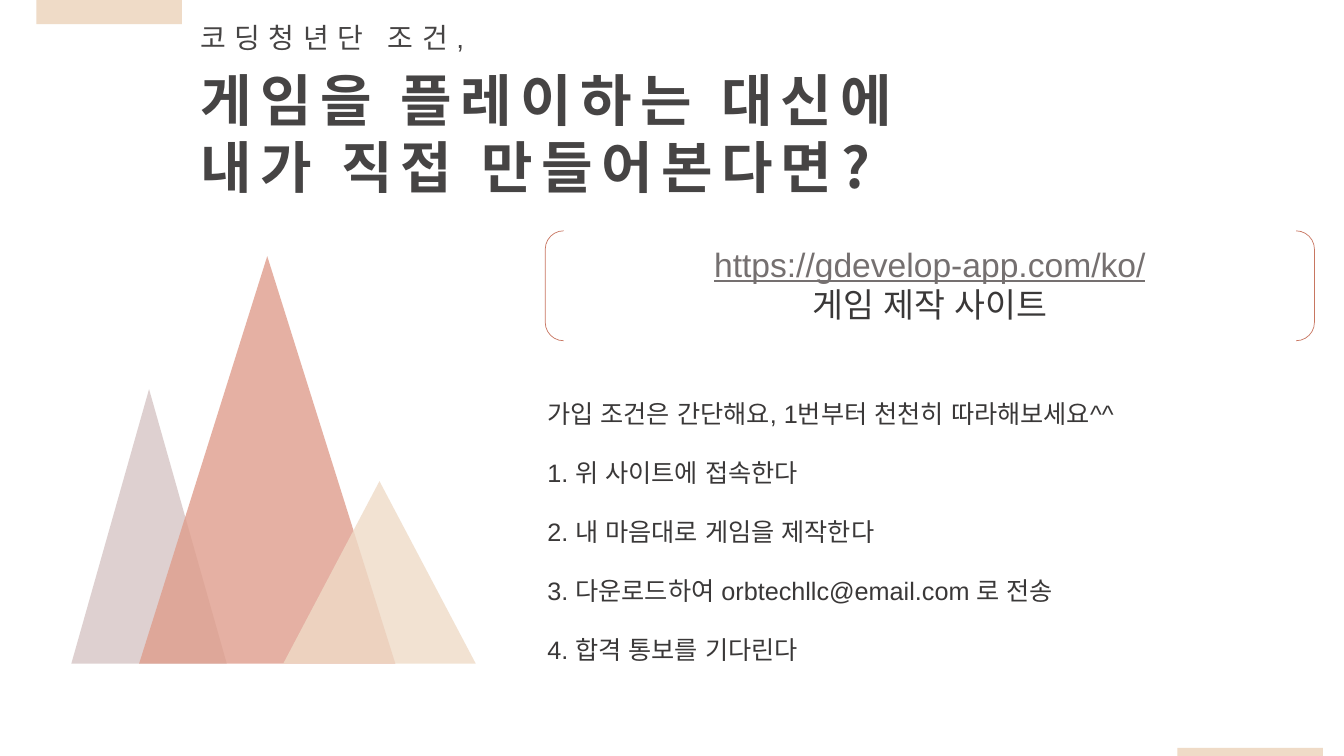
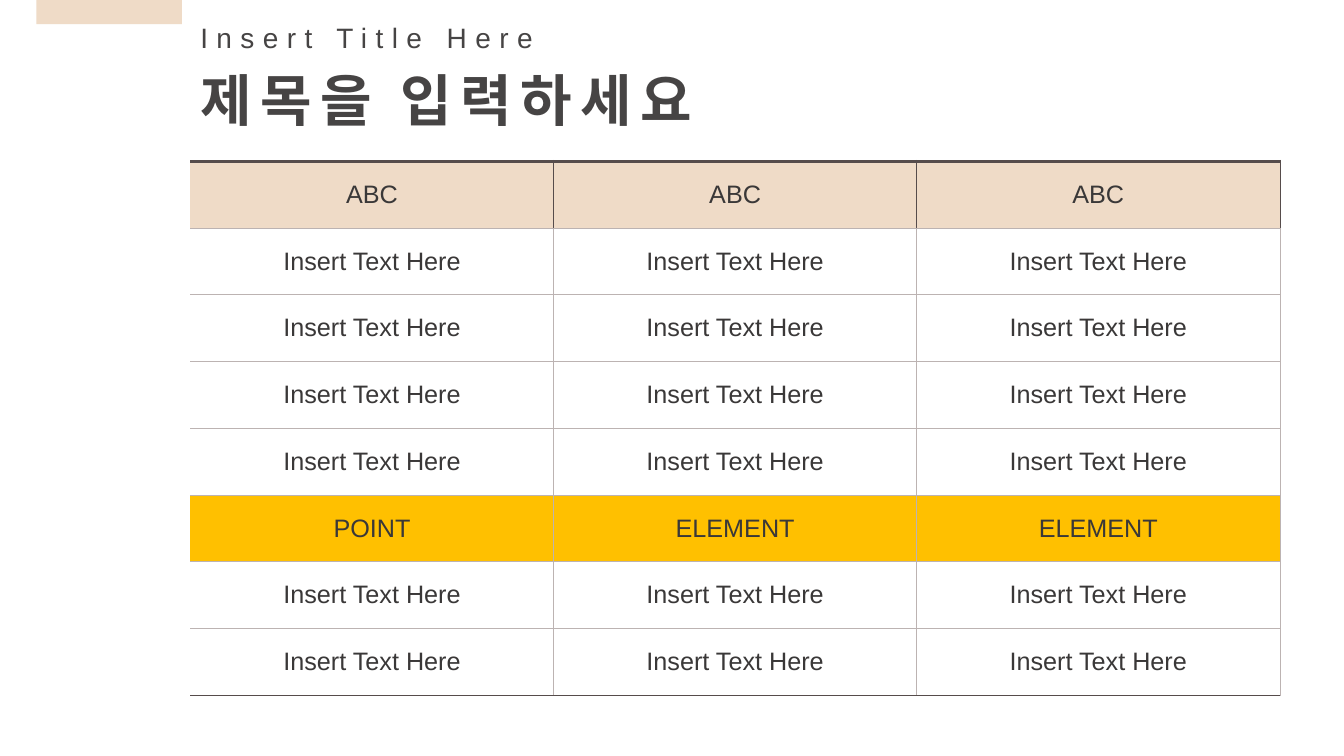
from pptx import Presentation
from pptx.dml.color import RGBColor
from pptx.enum.shapes import MSO_SHAPE
from pptx.enum.text import MSO_ANCHOR, PP_ALIGN
from pptx.oxml.ns import qn
from pptx.util import Pt
from lxml.etree import SubElement

COLORS = {
    "sand": "EFDBC7", "rose": "DF9D8C", "mauve": "D6C5C5", "bracket": "C87661",
    "title": "464444", "text": "3A3838", "link": "757070",
    "rule": "BCB3B2", "dark rule": "564C4B", "highlight": "FFC000", "white": "FFFFFF",
}
BODY_FONT = "Arial"
TITLE_FONT = "Noto Sans CJK KR"
TITLE_LEFT = 136
BAR_WIDTH = 104


def rgb(name):
    return RGBColor.from_string(COLORS[name])


class Designer:
    """Holds the deck, its style and the current page."""

    def __init__(self):
        self.deck = Presentation()
        self.deck.slide_width, self.deck.slide_height = Pt(960), Pt(540)
        self.page = None

    def new_page(self, kicker, title_lines):
        self.page = self.deck.slides.add_slide(self.deck.slide_layouts[5])
        self.bar(26, 0, 17.3)
        self.text(TITLE_LEFT, 10.8, 260, 31.7, [kicker], size=20, color="title",
                  spacing=6, wrap=False)
        title = self.page.shapes.title
        title.left, title.top = Pt(TITLE_LEFT), Pt(43.2)
        title.width, title.height = Pt(566), Pt(7.2 + 48.6 * len(title_lines))
        self.fill_text(title.text_frame, title_lines, size=40, color="title",
                       font=TITLE_FONT, bold=True, spacing=6, wrap=False)

    def style(self, para, size, color, font=BODY_FONT, bold=False, spacing=0,
              align=PP_ALIGN.LEFT):
        para.alignment = align
        para.font.size, para.font.bold, para.font.name = Pt(size), bold, font
        para.font.color.rgb = rgb(color)
        properties = para._p.get_or_add_pPr().get_or_add_defRPr()
        SubElement(properties, qn("a:ea")).set("typeface", font)
        if spacing:
            properties.set("spc", str(spacing * 100))

    def fill_text(self, frame, lines, wrap=True, gap=0, **style):
        frame.word_wrap = wrap
        frame.vertical_anchor = MSO_ANCHOR.TOP
        for index, line in enumerate(lines):
            para = frame.paragraphs[0] if index == 0 else frame.add_paragraph()
            para.text = line
            if index and gap:
                para.space_before = Pt(gap)
            self.style(para, **style)

    def text(self, left, top, width, height, lines, **options):
        box = self.page.shapes.add_textbox(Pt(left), Pt(top), Pt(width), Pt(height))
        self.fill_text(box.text_frame, lines, **options)
        return box

    def shape(self, kind, left, top, width, height, fill=None, line=None,
              opacity=None, parent=None):
        shapes = (parent or self.page).shapes
        shape = shapes.add_shape(kind, Pt(left), Pt(top), Pt(width), Pt(height))
        shape.shadow.inherit = False
        if fill:
            shape.fill.solid()
            shape.fill.fore_color.rgb = rgb(fill)
        else:
            shape.fill.background()
        if line:
            shape.line.color.rgb, shape.line.width = rgb(line), Pt(0.5)
        else:
            shape.line.fill.background()
        if opacity:
            color = shape._element.spPr.find(qn("a:solidFill"))[0]
            SubElement(color, qn("a:alpha")).set("val", str(opacity * 1000))

    def bar(self, left, top, height):
        self.shape(MSO_SHAPE.RECTANGLE, left, top, BAR_WIDTH, height, fill="sand")

    def mountains(self, base, peaks):
        group = self.page.shapes.add_group_shape()
        for left, width, height, color in peaks:
            self.shape(MSO_SHAPE.ISOSCELES_TRIANGLE, left, base - height, width, height,
                       fill=color, opacity=80, parent=group)

    def border(self, cell, side, color, width=0.5):
        line = SubElement(cell._tc.get_or_add_tcPr(), qn("a:ln" + side))
        line.set("w", str(Pt(width)))
        if color:
            fill = SubElement(line, qn("a:solidFill"))
            SubElement(fill, qn("a:srgbClr")).set("val", COLORS[color])
        else:
            SubElement(line, qn("a:noFill"))

    def table(self, left, top, column_width, row_height, rows, fills):
        columns = len(rows[0])
        table = self.page.shapes.add_table(
            len(rows), columns, Pt(left), Pt(top),
            Pt(column_width * columns), Pt(row_height * len(rows))).table
        table.first_row = table.horz_banding = False
        for column in table.columns:
            column.width = Pt(column_width)
        last = len(rows) - 1
        for r, values in enumerate(rows):
            table.rows[r].height = Pt(row_height)
            side_color = "rule" if r else "dark rule"
            for c, value in enumerate(values):
                cell = table.cell(r, c)
                # Borders come before the fill in the cell properties
                self.border(cell, "L", side_color if c else None)
                self.border(cell, "R", side_color)
                self.border(cell, "T", side_color, 0.5 if r else 2.25)
                if r == last:
                    self.border(cell, "B", "dark rule", 1)
                else:
                    self.border(cell, "B", "rule")
                cell.fill.solid()
                cell.fill.fore_color.rgb = rgb(fills.get(r, "white"))
                cell.vertical_anchor = MSO_ANCHOR.MIDDLE
                para = cell.text_frame.paragraphs[0]
                para.text = value
                self.style(para, 18, "text", align=PP_ALIGN.CENTER)


def conditions_page(designer):
    designer.new_page("코딩청년단 조건,", ["게임을 플레이하는 대신에", "내가 직접 만들어본다면?"])
    designer.bar(841, 534.2, 5.8)

    # Mountains: left, width, height, colour
    designer.mountains(474, [
        (51, 111, 196, "mauve"),
        (99.4, 183, 291, "rose"),
        (202.3, 137.5, 130.3, "sand"),
    ])

    # Steps for joining
    designer.text(383.8, 280.6, 561, 204.7, [
        "가입 조건은 간단해요, 1번부터 천천히 따라해보세요^^",
        "1. 위 사이트에 접속한다",
        "2. 내 마음대로 게임을 제작한다",
        "3. 다운로드하여 orbtechllc@email.com 로 전송",
        "4. 합격 통보를 기다린다",
    ], size=18, color="text", gap=20.7, align=PP_ALIGN.JUSTIFY)

    # Site address in brackets
    designer.shape(MSO_SHAPE.DOUBLE_BRACKET, 389.5, 164.9, 549.4, 78.5, line="bracket")
    site = designer.text(454.3, 170.6, 419.8, 94.3,
                         ["https://gdevelop-app.com/ko/", "게임 제작 사이트"],
                         size=24, color="text", align=PP_ALIGN.CENTER)
    address = site.text_frame.paragraphs[0]
    address.font.underline = True
    address.font.color.rgb = rgb("link")


def table_page(designer):
    designer.new_page("Insert Title Here", ["제목을 입력하세요"])
    filler = ["Insert Text Here"] * 3
    rows = [["ABC"] * 3, *[filler] * 4, ["POINT", "ELEMENT", "ELEMENT"], *[filler] * 2]
    designer.table(TITLE_LEFT, 115.2, 259.4, 47.7, rows, {0: "sand", 5: "highlight"})


def main():
    designer = Designer()
    conditions_page(designer)
    table_page(designer)
    designer.deck.save("out.pptx")


if __name__ == "__main__":
    main()
